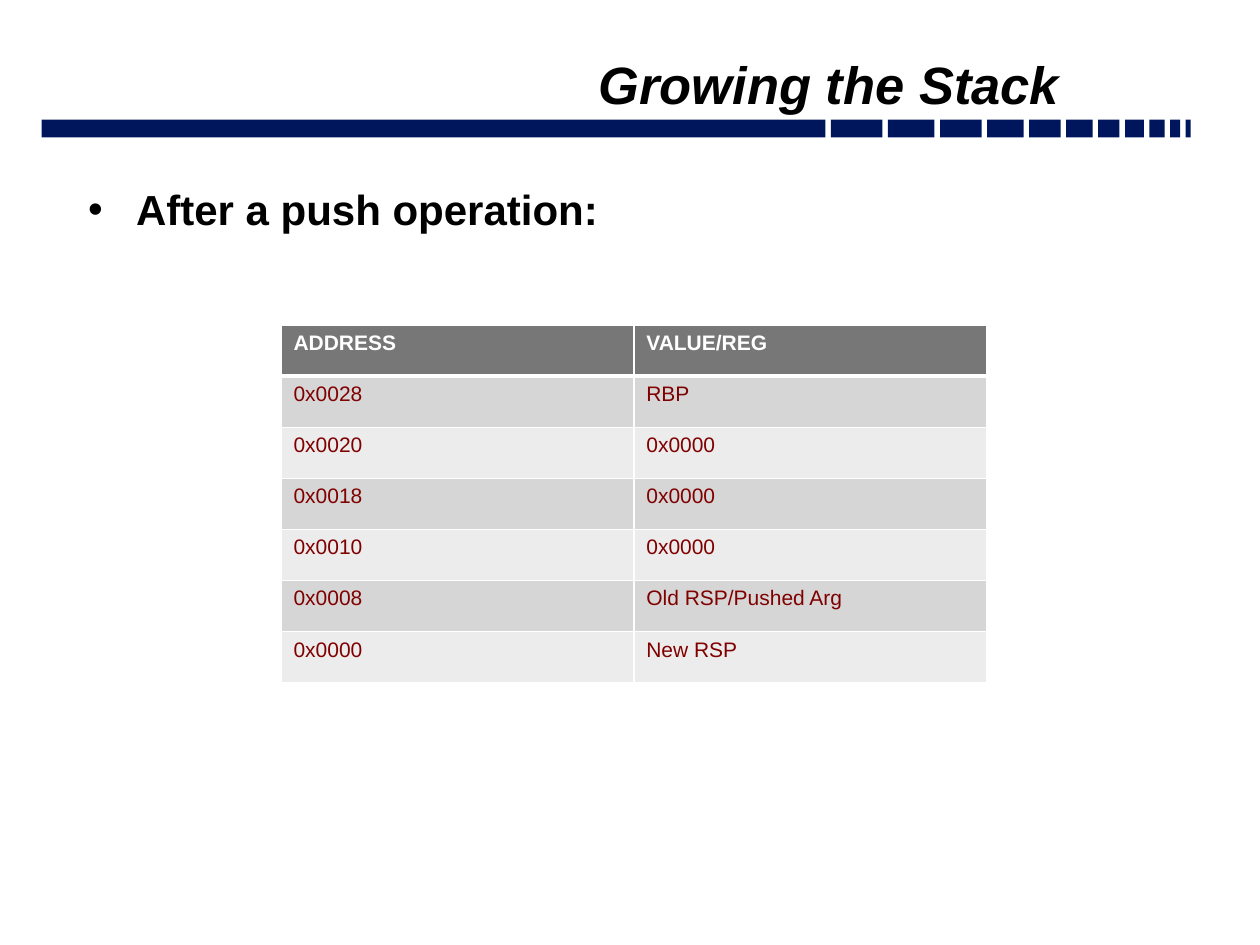
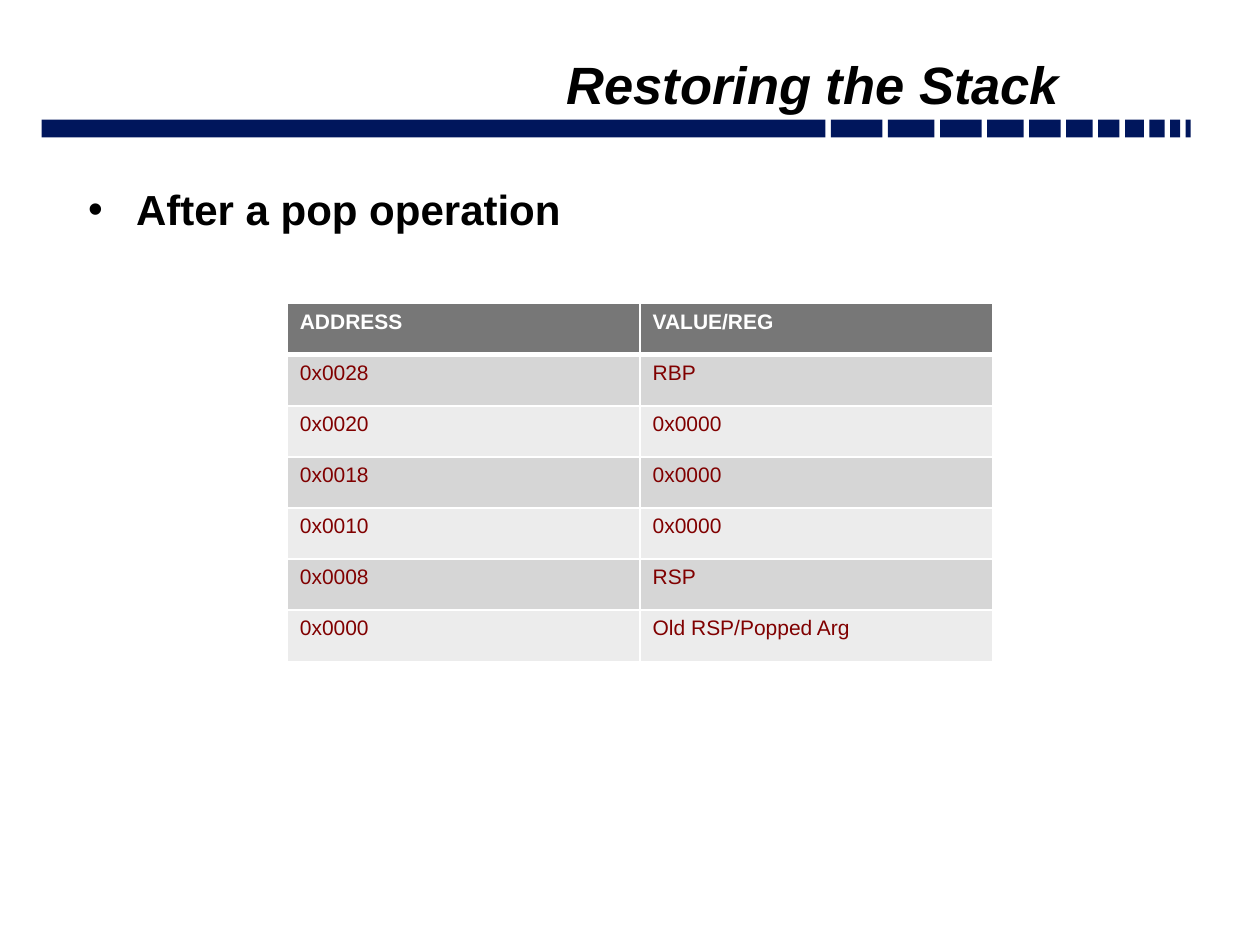
from lxml import etree
from pptx import Presentation
from pptx.dml.color import RGBColor
from pptx.enum.shapes import MSO_SHAPE
from pptx.enum.text import MSO_ANCHOR, PP_ALIGN
from pptx.oxml.ns import qn
from pptx.util import Inches, Pt

RECTANGLE = MSO_SHAPE.RECTANGLE
TOP, BOTTOM = MSO_ANCHOR.TOP, MSO_ANCHOR.BOTTOM
LEFT, RIGHT = PP_ALIGN.LEFT, PP_ALIGN.RIGHT

SLIDE_WIDTH, SLIDE_HEIGHT = Inches(10), Inches(7.5)
FONT = "Arial"
COLORS = {
    "band": "00165C",
    "text": "000000",
    "white": "FFFFFF",
    "header": "777777",
    "odd row": "D6D6D6",
    "even row": "ECECEC",
    "cell text": "800000",
}

# All places and sizes are percentages of the slide's width
TITLE_BOX = (16.7, 3.5, 68.3, 5.9)
BODY_BOX = (6.1, 14.2, 90.7, 51.7)
BAND_LEFT, BAND_RIGHT, BAND_TOP, BAND_HEIGHT = 3.3, 94.5, 9.5, 1.4
BAND_WIDTHS = [62.2, 4.1, 3.7, 3.3, 2.9, 2.5, 2.1, 1.7, 1.5, 1.2, 0.8, 0.4]
TABLE_WIDTH, TABLE_HEIGHT = 56, 28.4
BULLET_INDENT = 3.8

TABLE_HEADER = ("ADDRESS", "VALUE/REG")
ADDRESSES = ["0x0028", "0x0020", "0x0018", "0x0010", "0x0008", "0x0000"]
SHARED_VALUES = ["RBP", "0x0000", "0x0000", "0x0000"]

# Title, bullet, table corner, values at the two lowest addresses
STACK_SLIDES = [
    ("Growing the Stack", "After a push operation:", (22.3, 25.8),
     ["Old RSP/Pushed Arg", "New RSP"]),
    ("Restoring the Stack", "After a pop operation", (22.8, 24.1),
     ["RSP", "Old RSP/Popped Arg"]),
]


def percent(value):
    return round(SLIDE_WIDTH * value / 100)


def color(name):
    return RGBColor.from_string(COLORS[name])


def style_runs(paragraph, size, color_name, bold=False, italic=False):
    for run in paragraph.runs:
        font = run.font
        font.name, font.size = FONT, Pt(size)
        font.bold, font.italic = bold, italic
        font.color.rgb = color(color_name)


def add_text(slide, text, box, size, anchor=TOP, alignment=LEFT, italic=False):
    frame = slide.shapes.add_textbox(*map(percent, box)).text_frame
    frame.word_wrap = True
    frame.vertical_anchor = anchor
    frame.margin_left = frame.margin_right = Inches(0.09)
    frame.margin_top = frame.margin_bottom = Inches(0.04)
    frame.text = text
    paragraph = frame.paragraphs[0]
    paragraph.alignment = alignment
    style_runs(paragraph, size, "text", bold=True, italic=italic)
    return paragraph


def add_title(slide, text):
    paragraph = add_text(slide, text, TITLE_BOX, 30, BOTTOM, RIGHT, italic=True)
    paragraph.line_spacing = 0.7


def add_bullet(slide, text):
    paragraph = add_text(slide, text, BODY_BOX, 24)
    paragraph.space_before = Pt(4.8)
    properties = paragraph._p.get_or_add_pPr()
    properties.set("marL", str(percent(BULLET_INDENT)))
    properties.set("indent", str(-percent(BULLET_INDENT)))
    etree.SubElement(properties, qn("a:buFont"), typeface=FONT)
    etree.SubElement(properties, qn("a:buChar"), char="•")


def add_band(slide):
    """Draw the row of ever shorter blocks, spread with equal gaps."""
    free_width = BAND_RIGHT - BAND_LEFT - sum(BAND_WIDTHS)
    gap = free_width / (len(BAND_WIDTHS) - 1)
    left = BAND_LEFT
    for width in BAND_WIDTHS:
        block = slide.shapes.add_shape(
            RECTANGLE, *map(percent, (left, BAND_TOP, width, BAND_HEIGHT)))
        block.shadow.inherit = False
        block.fill.solid()
        block.fill.fore_color.rgb = color("band")
        block.line.fill.background()
        left += width + gap


def set_borders(cell, top, bottom):
    """Give a cell white borders; widths are in points."""
    properties = cell._tc.get_or_add_tcPr()
    widths = {"lnL": 1, "lnR": 1, "lnT": top, "lnB": bottom}
    for position, (side, width) in enumerate(widths.items()):
        line = etree.Element(qn(f"a:{side}"), w=str(Pt(width)))
        fill = etree.SubElement(line, qn("a:solidFill"))
        etree.SubElement(fill, qn("a:srgbClr"), val=COLORS["white"])
        properties.insert(position, line)


def add_stack_table(slide, corner, rows):
    box = (*corner, TABLE_WIDTH, TABLE_HEIGHT)
    table = slide.shapes.add_table(
        len(rows), len(TABLE_HEADER), *map(percent, box)).table
    table.horz_banding = False
    for row_index, row in enumerate(rows):
        is_header = row_index == 0
        fill_name = "header" if is_header else (
            "odd row" if row_index % 2 else "even row")
        for column_index, text in enumerate(row):
            cell = table.cell(row_index, column_index)
            cell.text_frame.text = text
            style_runs(cell.text_frame.paragraphs[0], 12,
                       "white" if is_header else "cell text", bold=is_header)
            cell.fill.solid()
            cell.fill.fore_color.rgb = color(fill_name)
            set_borders(cell, top=3 if row_index == 1 else 1,
                        bottom=3 if is_header else 1)


def main():
    presentation = Presentation()
    presentation.slide_width = SLIDE_WIDTH
    presentation.slide_height = SLIDE_HEIGHT
    blank_layout = presentation.slide_layouts[6]
    for title, bullet, corner, lowest_values in STACK_SLIDES:
        slide = presentation.slides.add_slide(blank_layout)
        add_band(slide)
        add_title(slide, title)
        add_bullet(slide, bullet)
        values = SHARED_VALUES + lowest_values
        add_stack_table(slide, corner, [TABLE_HEADER, *zip(ADDRESSES, values)])
    presentation.save("out.pptx")


if __name__ == "__main__":
    main()
